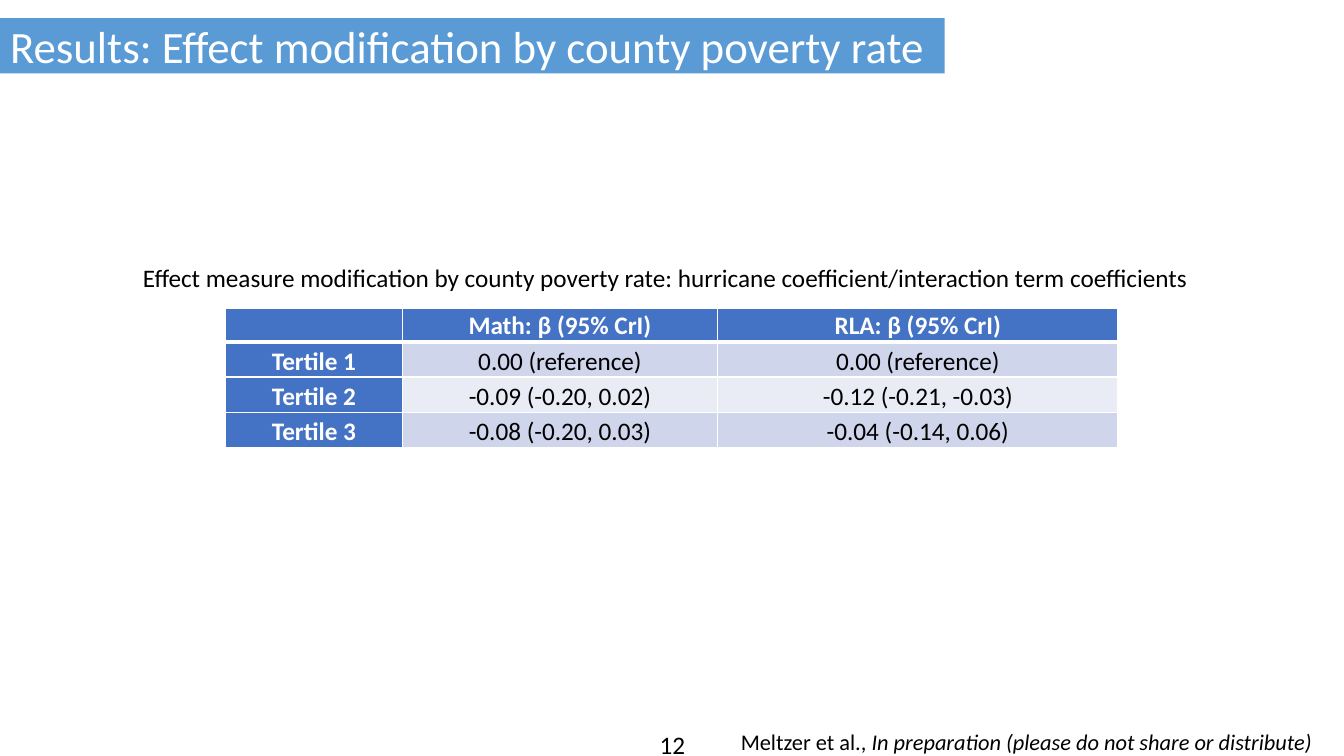
from dataclasses import dataclass

from lxml.etree import SubElement
from pptx import Presentation
from pptx.dml.color import RGBColor
from pptx.enum.text import MSO_ANCHOR, MSO_AUTO_SIZE, PP_ALIGN
from pptx.oxml.ns import qn
from pptx.util import Inches, Pt

FONT = "Calibri"
BLACK, WHITE = "000000", "FFFFFF"
TITLE_BLUE, HEADER_BLUE = "5B9BD5", "4472C4"
BANDS = ("CFD5EA", "E9EBF5")
COLUMN_SHARES = (13.13, 23.48, 29.78)
ROW_SHARES = (4.4, 4.67, 4.67, 4.67)
COEFFICIENTS = (
    ("", "Math: β (95% CrI)", "RLA: β (95% CrI)"),
    ("Tertile 1", "0.00 (reference)", "0.00 (reference)"),
    ("Tertile 2", "-0.09 (-0.20, 0.02)", "-0.12 (-0.21, -0.03)"),
    ("Tertile 3", "-0.08 (-0.20, 0.03)", "-0.04 (-0.14, 0.06)"),
)


@dataclass(frozen=True)
class Area:
    left: float
    top: float
    width: float
    height: float


@dataclass(frozen=True)
class Span:
    text: str
    italic: bool = False
    bold: bool = False


@dataclass(frozen=True)
class Label:
    area: Area
    spans: tuple[Span, ...]
    size: int = 18
    align: PP_ALIGN = PP_ALIGN.LEFT
    wrap: bool = True


TITLE = Label(
    Area(0, 2.4, 70.28, 7.33),
    (Span("Results: Effect modification by county poverty rate"),),
    size=32,
)
TABLE_AREA = Area(16.8, 40.8, sum(COLUMN_SHARES), sum(ROW_SHARES))
LABELS = (
    Label(Area(38.78, 95.87, 22.5, 5.33), (Span("12"),), align=PP_ALIGN.CENTER),
    Label(
        Area(54.38, 95.6, 45.22, 4.93),
        (
            Span("Meltzer et al., "),
            Span("In preparation (please do not share or distribute)", italic=True),
        ),
        size=16,
    ),
    Label(
        Area(9.9, 34, 80.25, 5.33),
        (
            Span(
                "Effect measure modification by county poverty rate: "
                "hurricane coefficient/interaction term coefficients"
            ),
        ),
        wrap=False,
    ),
)

deck = Presentation()
deck.slide_width, deck.slide_height = Inches(13.33), Inches(7.5)
page = deck.slides.add_slide(deck.slide_layouts[5])


def color(value: str) -> RGBColor:
    return RGBColor.from_string(value)


def across(share: float) -> int:
    return round(deck.slide_width * share / 100)


def down(share: float) -> int:
    return round(deck.slide_height * share / 100)


def bounds(area: Area) -> tuple[int, int, int, int]:
    return across(area.left), down(area.top), across(area.width), down(area.height)


def paint(target, value: str) -> None:
    target.fill.solid()
    target.fill.fore_color.rgb = color(value)


def write(frame, spans: tuple[Span, ...], size: int, ink: str, align: PP_ALIGN) -> None:
    para = frame.paragraphs[0]
    para.alignment = align
    for span in spans:
        run = para.add_run()
        run.text = span.text
        run.font.name = FONT
        run.font.size = Pt(size)
        run.font.italic = span.italic
        run.font.bold = span.bold
        run.font.color.rgb = color(ink)


def draw_title(label: Label) -> None:
    box = page.shapes.title
    box.left, box.top, box.width, box.height = bounds(label.area)
    paint(box, TITLE_BLUE)
    frame = box.text_frame
    frame.auto_size = MSO_AUTO_SIZE.NONE
    frame.word_wrap = label.wrap
    frame.vertical_anchor = MSO_ANCHOR.MIDDLE
    write(frame, label.spans, label.size, WHITE, label.align)


def draw_label(label: Label) -> None:
    frame = page.shapes.add_textbox(*bounds(label.area)).text_frame
    frame.word_wrap = label.wrap
    write(frame, label.spans, label.size, BLACK, label.align)


def add_borders(cell, row: int) -> None:
    properties = cell._tc.get_or_add_tcPr()
    top = 3 if row == 1 else 1
    bottom = 3 if row == 0 else 1
    for side, points in (("L", 1), ("R", 1), ("T", top), ("B", bottom)):
        line = SubElement(properties, qn(f"a:ln{side}"), w=str(Pt(points)))
        fill = SubElement(line, qn("a:solidFill"))
        SubElement(fill, qn("a:srgbClr"), val=WHITE)


def draw_cell(cell, row: int, column: int, text: str) -> None:
    heading = row == 0 or column == 0
    add_borders(cell, row)
    paint(cell, HEADER_BLUE if heading else BANDS[(row - 1) % 2])
    cell.margin_left = cell.margin_right = Inches(0.12)
    cell.margin_top = cell.margin_bottom = 0
    cell.vertical_anchor = MSO_ANCHOR.BOTTOM
    if text:
        ink = WHITE if heading else BLACK
        write(cell.text_frame, (Span(text, bold=heading),), 18, ink, PP_ALIGN.CENTER)


def draw_table() -> None:
    table = page.shapes.add_table(
        len(ROW_SHARES), len(COLUMN_SHARES), *bounds(TABLE_AREA)
    ).table
    for column, share in zip(table.columns, COLUMN_SHARES):
        column.width = across(share)
    for row, share in zip(table.rows, ROW_SHARES):
        row.height = down(share)
    for row, texts in enumerate(COEFFICIENTS):
        for column, text in enumerate(texts):
            draw_cell(table.cell(row, column), row, column, text)


def main() -> None:
    draw_title(TITLE)
    draw_table()
    for label in LABELS:
        draw_label(label)
    deck.save("out.pptx")


if __name__ == "__main__":
    main()
